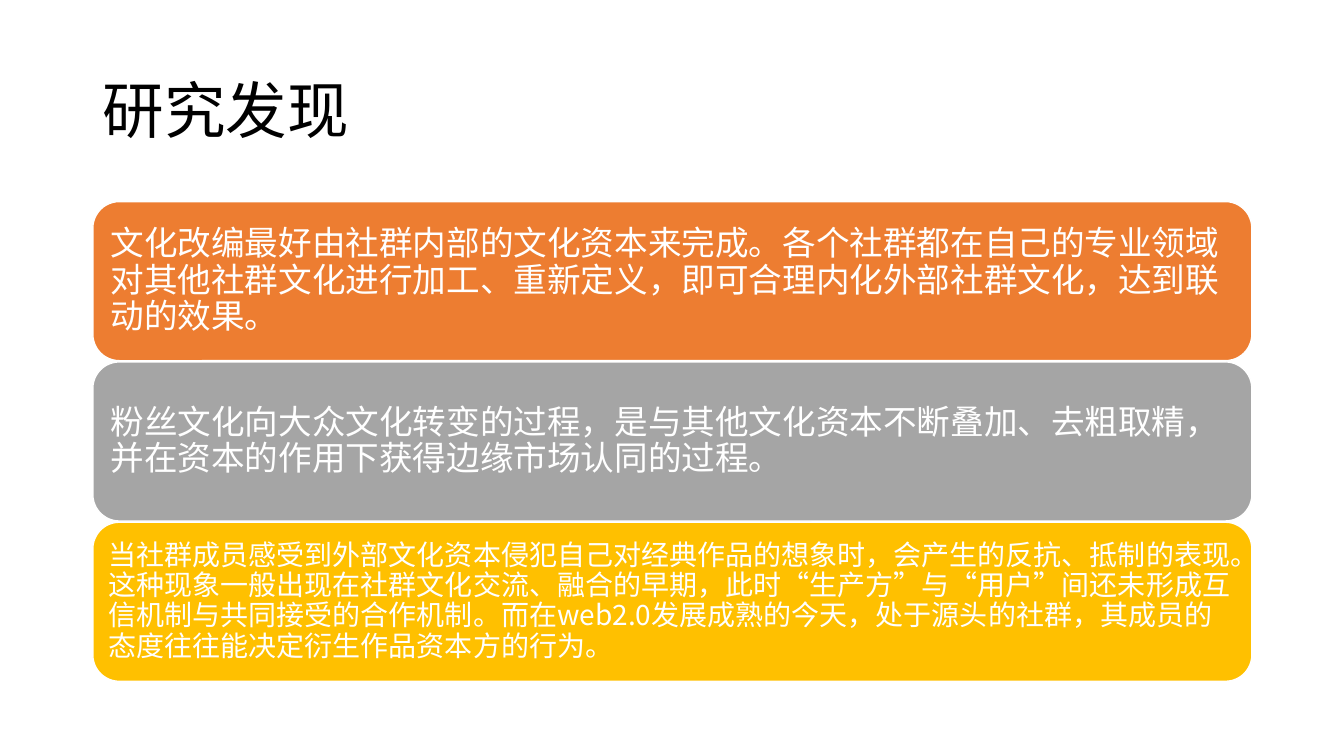
from dataclasses import dataclass

from pptx import Presentation
from pptx.dml.color import RGBColor
from pptx.enum.shapes import MSO_SHAPE as Shape
from pptx.enum.text import MSO_ANCHOR as Anchor, MSO_AUTO_SIZE as Fit, PP_ALIGN as Align
from pptx.oxml.ns import qn
from pptx.slide import Slide
from pptx.text.text import TextFrame
from pptx.util import Cm, Pt

FONT = "Noto Sans CJK SC"
BLACK = RGBColor(0x00, 0x00, 0x00)
WHITE = RGBColor(0xFF, 0xFF, 0xFF)
ORANGE = RGBColor(0xED, 0x7D, 0x31)
GREY = RGBColor(0xA5, 0xA5, 0xA5)
GOLD = RGBColor(0xFF, 0xC0, 0x00)

# Layout in centimetres
LEFT, WIDTH = 2.34, 29.21
TOP, HEIGHT, STEP = 5.08, 4.01, 4.04


@dataclass
class Card:
    text: str
    fill: RGBColor
    size: int = 24
    inset: float = 0.25


CARDS = [
    Card("文化改编最好由社群内部的文化资本来完成。各个社群都在自己的专业领域"
         "对其他社群文化进行加工、重新定义，即可合理内化外部社群文化，达到联动的效果。", ORANGE),
    Card("粉丝文化向大众文化转变的过程，是与其他文化资本不断叠加、去粗取精，"
         "并在资本的作用下获得边缘市场认同的过程。", GREY),
    Card("当社群成员感受到外部文化资本侵犯自己对经典作品的想象时，会产生的反抗、抵制的表现。"
         "这种现象一般出现在社群文化交流、融合的早期，此时“生产方”与“用户”间还未形成"
         "互信机制与共同接受的合作机制。而在web2.0发展成熟的今天，处于源头的社群，"
         "其成员的态度往往能决定衍生作品资本方的行为。", GOLD, size=20, inset=0.2),
]


def write(frame: TextFrame, text: str, *, size: int, color: RGBColor,
          inset: float = 0.25) -> None:
    frame.word_wrap = True
    frame.auto_size = Fit.NONE
    frame.vertical_anchor = Anchor.MIDDLE
    frame.margin_left = frame.margin_right = Cm(inset)
    frame.margin_top = frame.margin_bottom = Cm(inset)
    para = frame.paragraphs[0]
    para.alignment = Align.LEFT
    para.line_spacing = 0.9
    run = para.add_run()
    run.text = text
    run.font.size = Pt(size)
    run.font.name = FONT
    run.font.color.rgb = color
    # East Asian typeface for the Chinese text
    props = run.font._element
    props.find(qn("a:latin")).addnext(props.makeelement(qn("a:ea"), {"typeface": FONT}))


def draw(slide: Slide, card: Card, top: float) -> None:
    box = slide.shapes.add_shape(
        Shape.ROUNDED_RECTANGLE, Cm(LEFT), Cm(top), Cm(WIDTH), Cm(HEIGHT))
    box.shadow.inherit = False
    box.fill.solid()
    box.fill.fore_color.rgb = card.fill
    box.line.color.rgb = WHITE
    box.line.width = Pt(1)
    write(box.text_frame, card.text, size=card.size, color=WHITE, inset=card.inset)


def main() -> None:
    deck = Presentation()
    deck.slide_width, deck.slide_height = Cm(33.87), Cm(19.05)
    slide = deck.slides.add_slide(deck.slide_layouts.get_by_name("Title Only"))

    # Title
    title = slide.shapes.title
    title.left, title.top = Cm(LEFT), Cm(1.01)
    title.width, title.height = Cm(WIDTH), Cm(3.68)
    write(title.text_frame, "研究发现", size=44, color=BLACK)

    # Stacked findings
    for i, card in enumerate(CARDS):
        draw(slide, card, TOP + i * STEP)

    deck.save("out.pptx")


if __name__ == "__main__":
    main()
